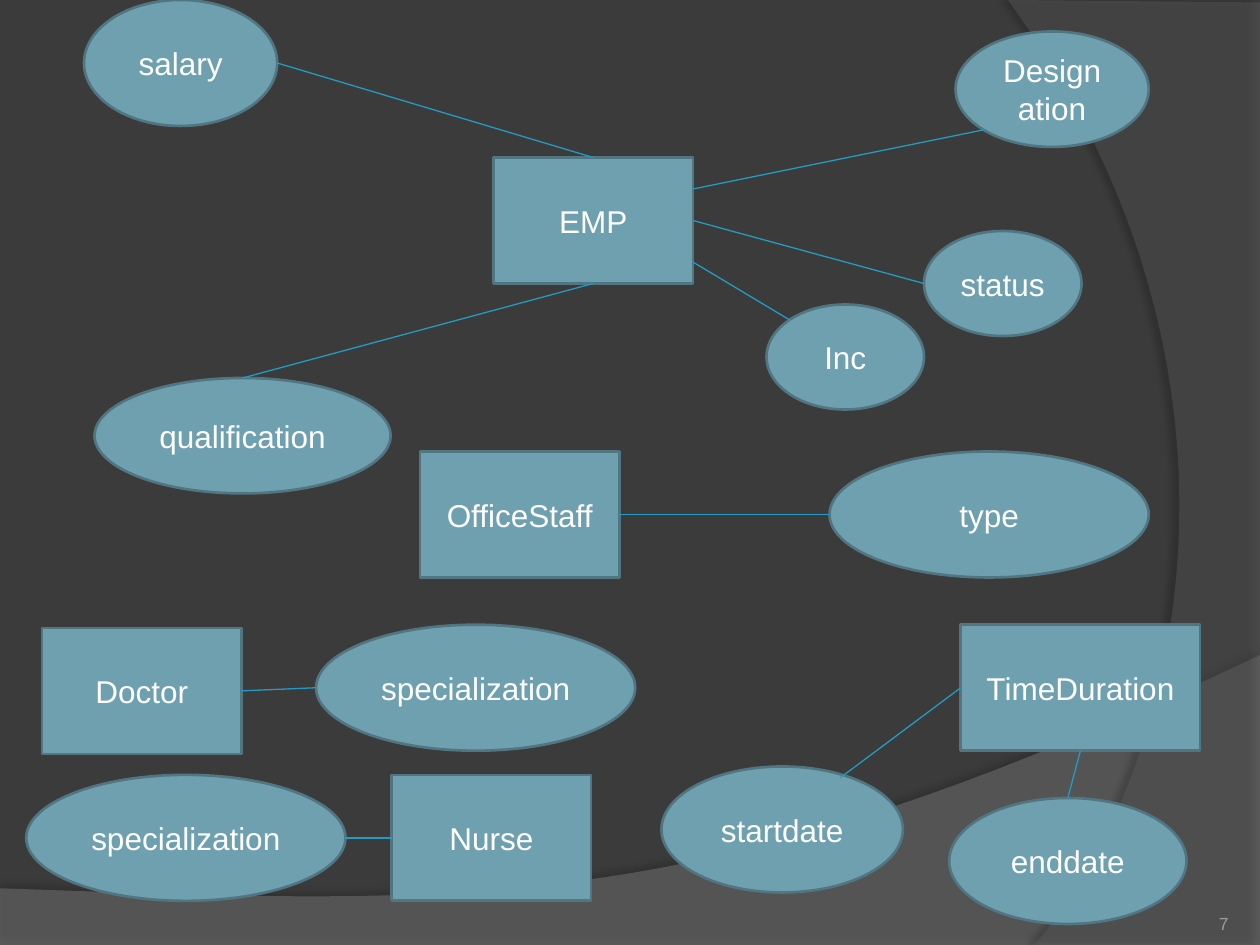
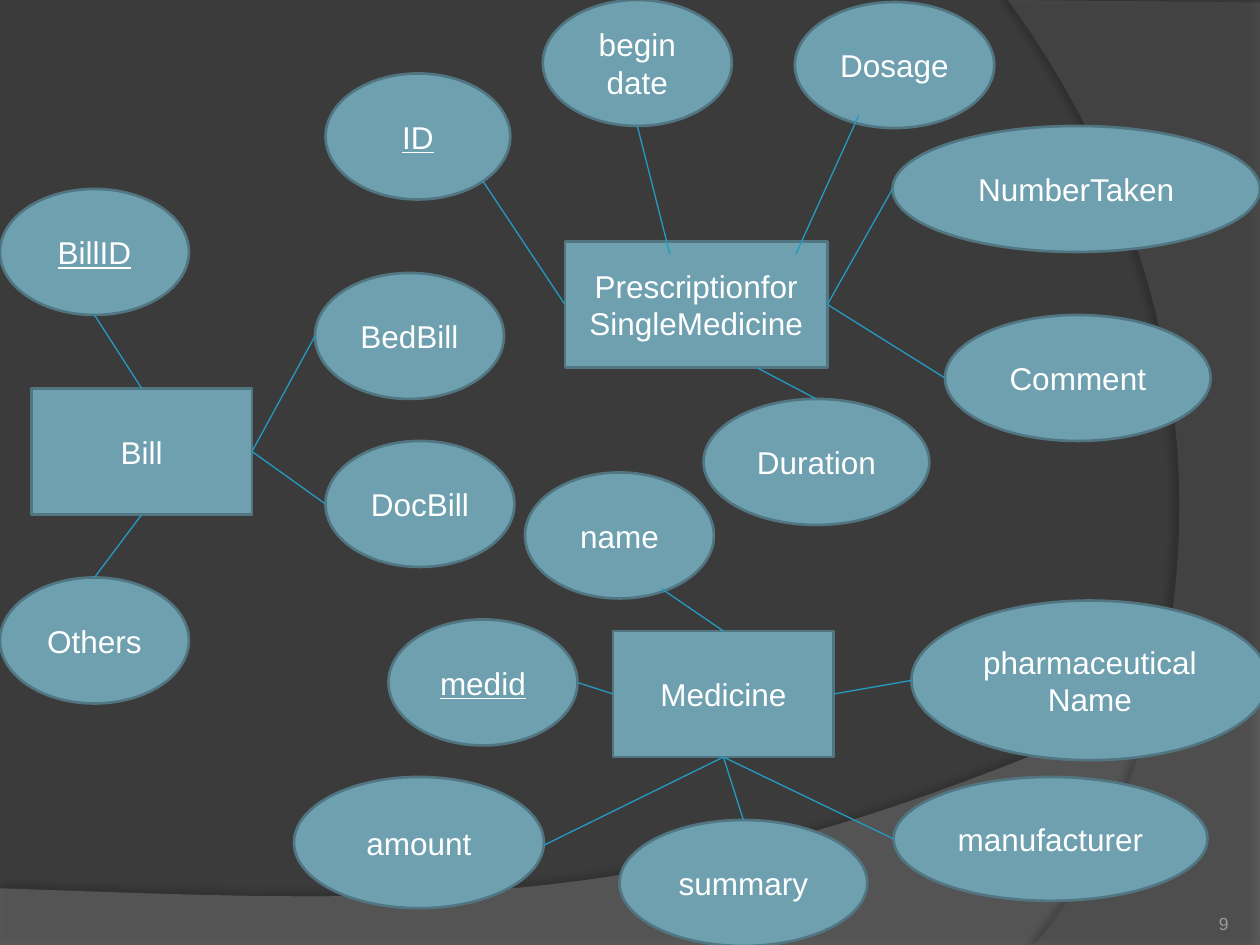
from lxml import etree
from pptx import Presentation
from pptx import util as u
from pptx.dml.color import RGBColor
from pptx.enum import shapes, text
from pptx.oxml import ns

WIDTH, HEIGHT = u.Inches(10), u.Inches(7.5)
COLUMNS, ROWS = 120, 90
FONT = "Arial"
COLORS = {
    "background": "3B3B3B",
    "lower_band": "7F7F7F",
    "right_band": "5E5E5E",
    "shadow": "000000",
    "fill": "6EA0B0",
    "outline": "517682",
    "link": "239BC2",
    "label": "FFFFFF",
    "number": "9D9B9A",
}

TOP, LEFT, BOTTOM, RIGHT = (0.5, 0), (0, 0.5), (0.5, 1), (1, 0.5)
SIDES = [TOP, LEFT, BOTTOM, RIGHT]
UPPER_LEFT, LOWER_LEFT, LOWER_RIGHT = (0.15, 0.15), (0.15, 0.85), (0.85, 0.85)

# Entity: name, cell, attributes.
# Attribute: name, cell, end on the entity, end on the attribute.
STAFF = [
    ("EMP", (47, 15, 19, 12), [
        ("salary", (8, 0, 18.4, 12), TOP, RIGHT),
        ("Designation", (91, 3, 18.4, 11), (1, 0.25), LOWER_LEFT),
        ("status", (88, 22, 15, 10), RIGHT, LEFT),
        ("Inc", (73, 29, 15, 10), (1, 0.83), UPPER_LEFT),
        ("qualification", (9, 36, 28.2, 11), BOTTOM, TOP),
    ]),
    ("OfficeStaff", (40, 43, 19, 12), [
        ("type", (79, 43, 30.4, 12), RIGHT, LEFT),
    ]),
    ("Doctor", (4, 59.8, 19, 12), [
        ("specialization", (30.1, 59.5, 30.4, 12), RIGHT, LEFT),
    ]),
    ("Nurse", (37.3, 73.8, 19, 12), [
        ("specialization", (2.5, 73.8, 30.4, 12), LEFT, RIGHT),
    ]),
    ("TimeDuration", (91.5, 59.5, 22.8, 12), [
        ("startdate", (63, 73, 23, 12), LEFT, (0.74, 0.09)),
        ("enddate", (90.4, 76, 22.6, 12), BOTTOM, TOP),
    ]),
]
TREATMENT = [
    ("Prescriptionfor\nSingleMedicine", (53.8, 23, 25, 12), [
        ("ID", (31, 7, 17.6, 12), LEFT, LOWER_RIGHT),
        ("begin date", (51.7, 0, 18, 12), (0.4, 0.1), BOTTOM),
        ("Dosage", (75.7, 0.2, 19, 12), (0.88, 0.1), (0.32, 0.9)),
        ("NumberTaken", (85, 12, 35, 12), RIGHT, LEFT),
        ("Comment", (90, 30, 25.3, 12), RIGHT, LEFT),
        ("Duration", (67, 38, 21.5, 12), (0.73, 1), TOP),
    ]),
    ("Medicine", (58.4, 60.1, 21, 12), [
        ("name", (50, 45, 18, 12), TOP, (0.72, 0.92)),
        ("medid", (37, 59, 18, 12), LEFT, RIGHT),
        ("pharmaceuticalName", (86.8, 57.2, 34, 15.2), RIGHT, LEFT),
        ("amount", (28, 74, 23.8, 12.5), BOTTOM, (1, 0.52)),
        ("summary", (59, 78.1, 23.6, 12), BOTTOM, TOP),
        ("manufacturer", (85.1, 74, 29.9, 11.8), BOTTOM, LEFT),
    ]),
    ("Bill", (3, 37, 21, 12), [
        ("BillID", (0, 18, 18, 12), TOP, BOTTOM),
        ("BedBill", (30, 26, 18, 12), RIGHT, LEFT),
        ("DocBill", (31, 42, 18, 12), RIGHT, LEFT),
        ("Others", (0, 55, 18, 12), BOTTOM, TOP),
    ]),
]
KEYS = {"ID", "medid", "BillID"}


def color(name):
    return RGBColor.from_string(COLORS[name])


def place(column, row, columns, rows):
    across, down = WIDTH / COLUMNS, HEIGHT / ROWS
    return [round(v) for v in (column * across, row * down, columns * across, rows * down)]


def write(para, words, size, tone, underline=None):
    span = para.add_run()
    span.text = words
    span.font.name = FONT
    span.font.size = u.Pt(size)
    span.font.color.rgb = color(tone)
    span.font.underline = underline


def curve(start, first, second, end, steps=40):
    points = []
    for step in range(steps + 1):
        t = step / steps
        weights = ((1 - t) ** 3, 3 * t * (1 - t) ** 2, 3 * t * t * (1 - t), t ** 3)
        corners = (start, first, second, end)
        points.append(tuple(sum(w * c[axis] for w, c in zip(weights, corners))
                            for axis in (0, 1)))
    return points


def add_band(deck, page, outline, tone, opacity, shade, distance, angle):
    points = [(u.Inches(x), u.Inches(y)) for x, y in outline]
    builder = page.shapes.build_freeform(*points[0])
    builder.add_line_segments(points[1:], close=True)
    band = builder.convert_to_shape()
    band.fill.solid()
    band.fill.fore_color.rgb = color(tone)
    band.line.fill.background()
    band.shadow.inherit = False
    properties = band.element.spPr
    tint = properties.find(".//" + ns.qn("a:srgbClr"))
    etree.SubElement(tint, ns.qn("a:alpha"), val=str(opacity * 1000))
    shadow = etree.SubElement(
        properties.find(ns.qn("a:effectLst")), ns.qn("a:outerShdw"),
        blurRad=str(u.Pt(4)), dist=str(u.Pt(distance)), dir=str(angle * 60000),
        algn="ctr", rotWithShape="0")
    shade_color = etree.SubElement(shadow, ns.qn("a:srgbClr"), val=COLORS["shadow"])
    etree.SubElement(shade_color, ns.qn("a:alpha"), val=str(shade * 1000))
    tree = deck.slide_master.shapes.element
    band.element.nvSpPr.cNvPr.set("id", str(100 + len(tree)))
    tree.insert(2, band.element)


def set_master(deck, page):
    backdrop = deck.slide_master.background.fill
    backdrop.solid()
    backdrop.fore_color.rgb = color("background")
    right_edge = curve((8.21, 7.5), (9.35, 6.19), (10.18, 3), (8, 0))
    add_band(deck, page, [(10, 0.02), (10, 7.5)] + right_edge, "right_band", 40, 45, 4, 180)
    upper_edge = curve((10, 5.2), (5.59, 7.29), (3.91, 7.19), (0, 7.05))
    add_band(deck, page, [(0, 7.5), (10, 7.5)] + upper_edge, "lower_band", 45, 35, 3.5, 270)


def add_node(page, preset, name, cell):
    node = page.shapes.add_shape(preset, *place(*cell))
    node.shadow.inherit = False
    node.fill.solid()
    node.fill.fore_color.rgb = color("fill")
    node.line.color.rgb = color("outline")
    node.line.width = u.Pt(1.5)
    frame = node.text_frame
    frame.vertical_anchor = text.MSO_ANCHOR.MIDDLE
    for index, words in enumerate(name.split("\n")):
        para = frame.add_paragraph() if index else frame.paragraphs[0]
        para.alignment = text.PP_ALIGN.CENTER
        write(para, words, 18, "label", True if name in KEYS else None)
    return node


def point_on(node, share):
    return (round(node.left + share[0] * node.width),
            round(node.top + share[1] * node.height))


def add_link(page, entity, entity_end, attribute, attribute_end):
    link = page.shapes.add_connector(
        shapes.MSO_CONNECTOR.STRAIGHT,
        *point_on(entity, entity_end), *point_on(attribute, attribute_end))
    link.line.color.rgb = color("link")
    link.line.width = u.Pt(0.75)
    etree.SubElement(link.element.spPr, ns.qn("a:effectLst"))
    if entity_end in SIDES:
        link.begin_connect(entity, SIDES.index(entity_end))


def add_number(page, number):
    box = page.shapes.add_textbox(*place(107, 84.2, 10, 4.8))
    frame = box.text_frame
    frame.word_wrap = True
    frame.margin_left = frame.margin_right = frame.margin_top = frame.margin_bottom = 0
    frame.vertical_anchor = text.MSO_ANCHOR.BOTTOM
    para = frame.paragraphs[0]
    para.alignment = text.PP_ALIGN.RIGHT
    write(para, str(number), 10, "number")


def add_diagram(page, entities, number):
    add_number(page, number)
    for name, cell, attributes in entities:
        entity = add_node(page, shapes.MSO_SHAPE.RECTANGLE, name, cell)
        for label, spot, entity_end, attribute_end in attributes:
            attribute = add_node(page, shapes.MSO_SHAPE.OVAL, label, spot)
            add_link(page, entity, entity_end, attribute, attribute_end)


def main():
    deck = Presentation()
    deck.slide_width, deck.slide_height = WIDTH, HEIGHT
    blank = deck.slide_layouts[6]
    pages = [deck.slides.add_slide(blank) for _ in range(2)]
    set_master(deck, pages[0])
    add_diagram(pages[0], STAFF, 7)
    add_diagram(pages[1], TREATMENT, 9)
    deck.save("out.pptx")


if __name__ == "__main__":
    main()
